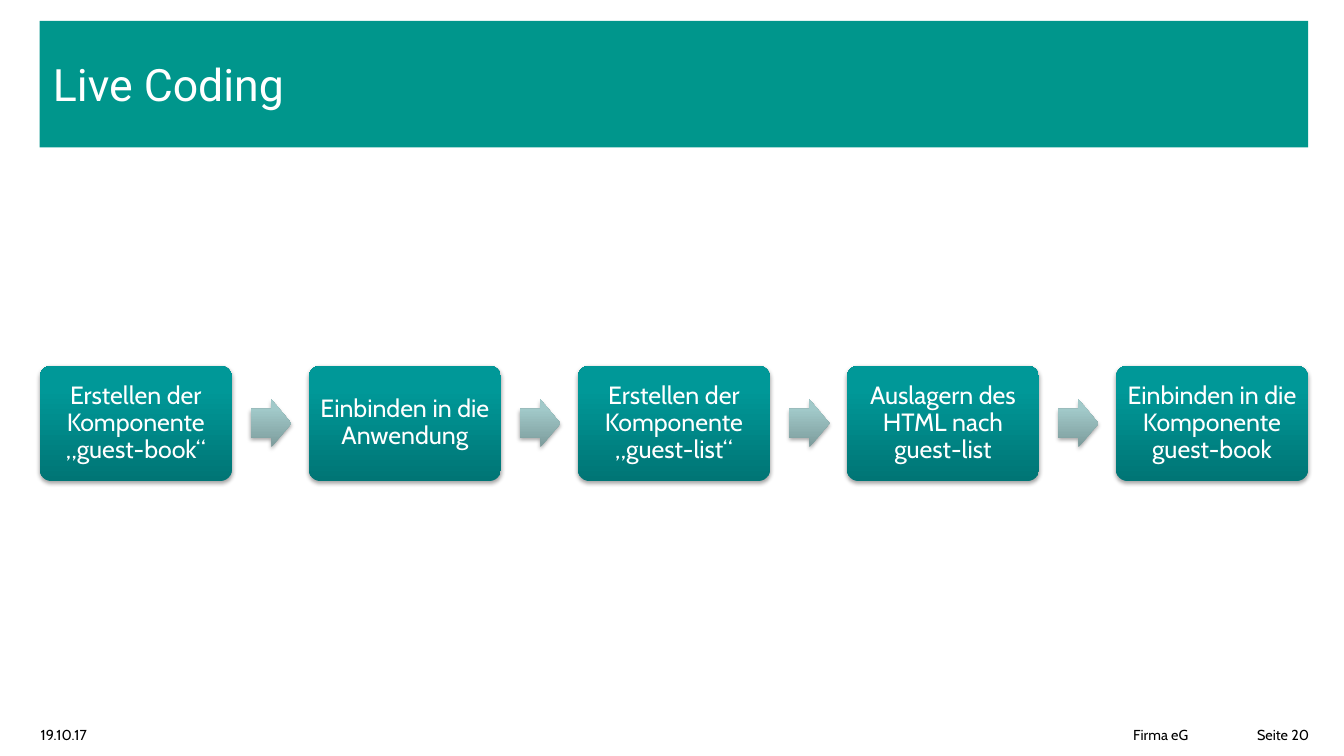
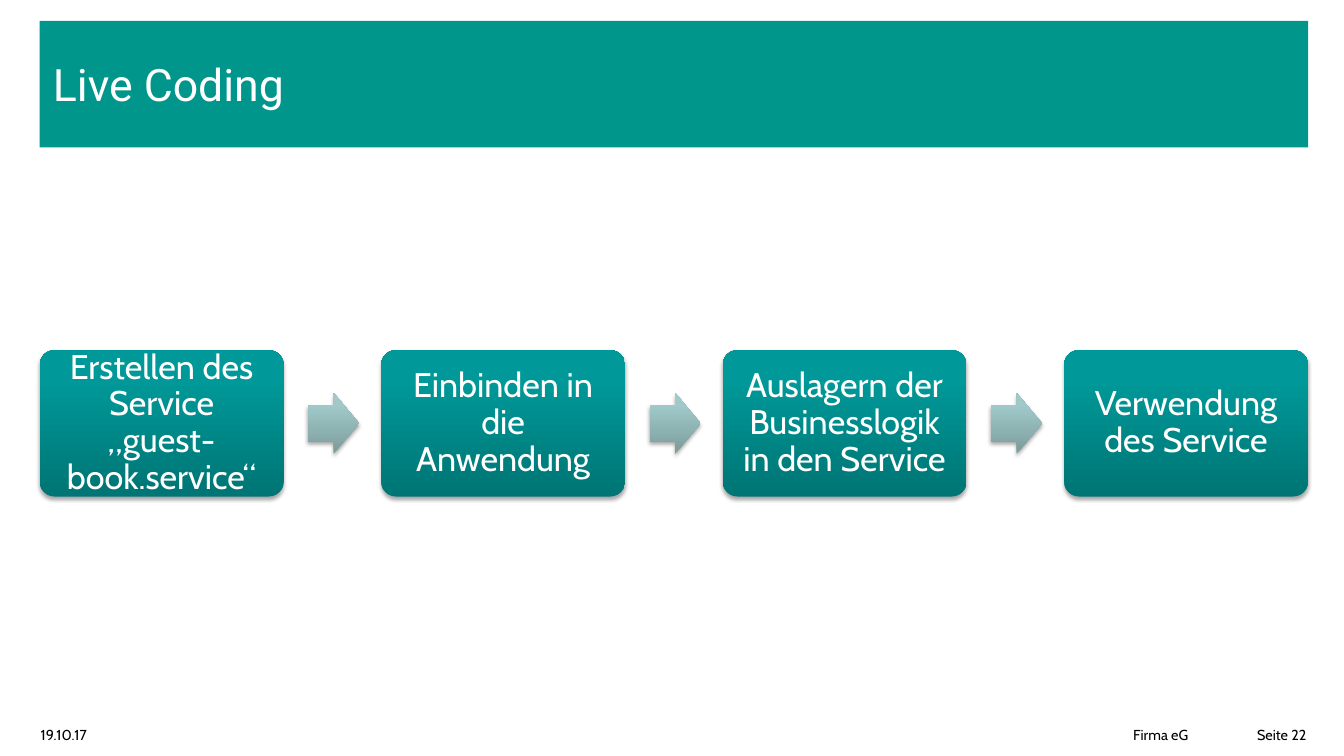
import pptx
import pptx.dml.color
import pptx.enum.shapes
import pptx.enum.text
import pptx.oxml
import pptx.oxml.ns
import pptx.util

Inches = pptx.util.Inches
Pt = pptx.util.Pt
RGBColor = pptx.dml.color.RGBColor
MSO_SHAPE = pptx.enum.shapes.MSO_SHAPE
PP_ALIGN = pptx.enum.text.PP_ALIGN
MIDDLE = pptx.enum.text.MSO_ANCHOR.MIDDLE

BAND = RGBColor(0x00, 0x96, 0x8C)
WHITE = RGBColor(0xFF, 0xFF, 0xFF)
BLACK = RGBColor(0x00, 0x00, 0x00)
STEP_STOPS = [(0, RGBColor(0x00, 0x75, 0x75)), (80, RGBColor(0x00, 0x98, 0x98)),
              (100, RGBColor(0x00, 0x99, 0x99))]
ARROW_STOPS = [(0, RGBColor(0x7C, 0x9B, 0x9B)), (80, RGBColor(0xA1, 0xC9, 0xC9)),
               (100, RGBColor(0xA1, 0xCA, 0xCA))]
TITLE_FONT = "Roboto"
BODY_FONT = "Cabin"

LEFT, WIDTH = 0.42, 13.42
FLOW_MIDDLE = 4.48
# Proportions of the flow, all relative to the width of one step
PITCH, STEP_HEIGHT = 1.4, 0.6
ARROW_OFFSET, ARROW_WIDTH, ARROW_HEIGHT = 1.1, 0.21, 0.25

SLIDES = [
    ("Live Coding", "Seite 20", 19, [
        "Erstellen der Komponente „guest-book“",
        "Einbinden in die Anwendung",
        "Erstellen der Komponente „guest-list“",
        "Auslagern des HTML nach guest-list",
        "Einbinden in die Komponente guest-book",
    ]),
    ("Live Coding", "Seite 22", 26, [
        "Erstellen des Service „guest-book.service“",
        "Einbinden in die Anwendung",
        "Auslagern der Businesslogik in den Service",
        "Verwendung des Service",
    ]),
]


def write(sp, text, font, size, color, insets, align=PP_ALIGN.LEFT, spacing=None):
    """Set one vertically centred paragraph; insets run left, top, right, bottom."""
    tf = sp.text_frame
    tf.word_wrap = True
    tf.auto_size = pptx.enum.text.MSO_AUTO_SIZE.NONE
    tf.vertical_anchor = MIDDLE
    tf.margin_left, tf.margin_top, tf.margin_right, tf.margin_bottom = map(Inches, insets)
    p = tf.paragraphs[0]
    p.alignment = align
    p.line_spacing = spacing
    r = p.add_run()
    r.text = text
    r.font.name = font
    r.font.size = Pt(size)
    r.font.color.rgb = color


def add_title(slide, text):
    sp = slide.shapes.title
    sp.left, sp.top = Inches(LEFT), Inches(0.22)
    sp.width, sp.height = Inches(WIDTH), Inches(1.34)
    sp.fill.solid()
    sp.fill.fore_color.rgb = BAND
    write(sp, text, TITLE_FONT, 34, WHITE, (0.14, 0.05, 0.14, 0.05), spacing=Pt(40))


def add_footer(slide, page):
    for text, left, width, inset_left, inset_right in (
            ("19.10.17", 0, 1.38, 0.43, 0.1),
            ("Firma eG", 11.91, 1.1, 0.08, 0.1),
            (page, 13.02, 1.2, 0.28, 0.12)):
        sp = slide.shapes.add_textbox(Inches(left), Inches(7.52), Inches(width), Inches(0.47))
        write(sp, text, BODY_FONT, 11, BLACK, (inset_left, 0.08, inset_right, 0.05))


def fill_gradient(sp, stops):
    """Fill from bottom to top with (percent, colour) stops."""
    sp.fill.gradient()
    sp.fill.gradient_angle = 90
    stop_list = sp.element.spPr.find(".//" + pptx.oxml.ns.qn("a:gsLst"))
    for old in list(stop_list):
        stop_list.remove(old)
    for percent, color in stops:
        stop_list.append(pptx.oxml.parse_xml(
            f'<a:gs {pptx.oxml.ns.nsdecls("a")} pos="{percent * 1000}">'
            f'<a:srgbClr val="{color}"/></a:gs>'))


def add_shadow(sp):
    sp.shadow.inherit = False
    effects = sp.element.spPr.find(pptx.oxml.ns.qn("a:effectLst"))
    effects.append(pptx.oxml.parse_xml(
        f'<a:outerShdw {pptx.oxml.ns.nsdecls("a")} blurRad="40000" dist="23000" '
        f'dir="5400000" rotWithShape="0"><a:srgbClr val="{BLACK}">'
        '<a:alpha val="35000"/></a:srgbClr></a:outerShdw>'))


def add_flow_shape(slide, kind, left, width, height, adjustments, stops):
    sp = slide.shapes.add_shape(kind, Inches(left), Inches(FLOW_MIDDLE - height / 2),
                                Inches(width), Inches(height))
    for i, value in enumerate(adjustments):
        sp.adjustments[i] = value
    fill_gradient(sp, stops)
    sp.line.fill.background()
    add_shadow(sp)
    return sp


def add_flow(slide, steps, size):
    """Spread the steps over the content width, with an arrow between neighbours."""
    width = WIDTH / (PITCH * (len(steps) - 1) + 1)
    inset = size * 0.3 / 72
    for i, step in enumerate(steps):
        left = LEFT + i * PITCH * width
        sp = add_flow_shape(slide, MSO_SHAPE.ROUNDED_RECTANGLE, left, width,
                            STEP_HEIGHT * width, [0.1], STEP_STOPS)
        write(sp, step, BODY_FONT, size, WHITE, [inset] * 4, PP_ALIGN.CENTER, 0.9)
        if i < len(steps) - 1:
            add_flow_shape(slide, MSO_SHAPE.RIGHT_ARROW, left + ARROW_OFFSET * width,
                           ARROW_WIDTH * width, ARROW_HEIGHT * width, [0.6, 0.5], ARROW_STOPS)


def main():
    prs = pptx.Presentation()
    prs.slide_width, prs.slide_height = Inches(14.22), Inches(8)
    title_only = prs.slide_layouts[5]
    for title, page, size, steps in SLIDES:
        slide = prs.slides.add_slide(title_only)
        add_title(slide, title)
        add_flow(slide, steps, size)
        add_footer(slide, page)
    prs.save("out.pptx")


if __name__ == "__main__":
    main()
